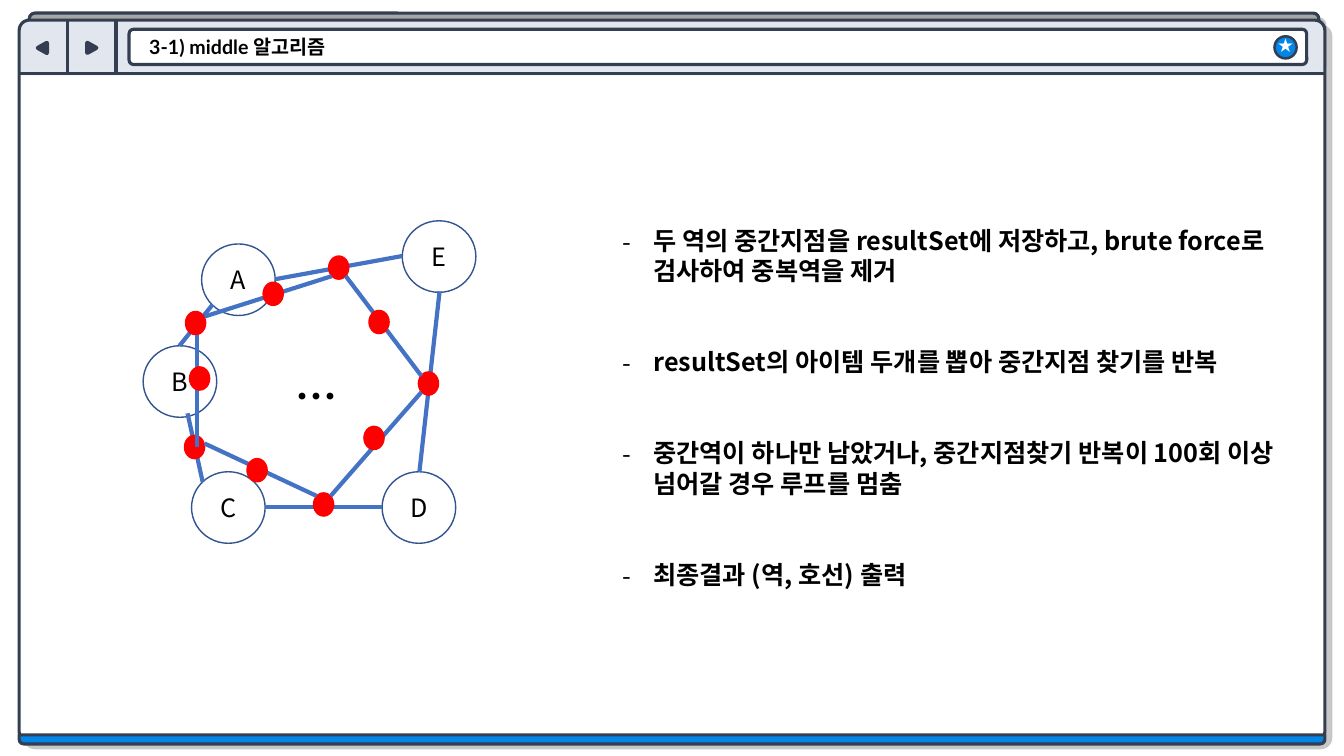
from lxml import etree
from pptx import Presentation
from pptx.dml.color import RGBColor
from pptx.enum.shapes import MSO_CONNECTOR as Link, MSO_SHAPE as Form
from pptx.enum.text import MSO_ANCHOR as Anchor, MSO_AUTO_SIZE as Fit, PP_ALIGN as Align
from pptx.oxml.ns import qn
from pptx.util import Inches, Pt

NAVY = RGBColor(0x33, 0x3F, 0x50)
GRAY = RGBColor(0xA6, 0xA6, 0xA6)
PALE = RGBColor(0xE2, 0xE6, 0xEF)
WHITE = RGBColor(0xFF, 0xFF, 0xFF)
BLACK = RGBColor(0, 0, 0)
SKY = RGBColor(0x01, 0x85, 0xE9)
EDGE = RGBColor(0x32, 0x54, 0x91)
BLUE = RGBColor(0x44, 0x72, 0xC4)
RED = RGBColor(0xFF, 0, 0)

LATO = "Lato"
NOTO = "Noto Sans CJK KR"
CELL = 0.1

TITLE = "3-1) middle 알고리즘"
STEPS = [
    "두 역의 중간지점을 resultSet에 저장하고, brute force로 검사하여 중복역을 제거",
    "resultSet의 아이템 두개를 뽑아 중간지점 찾기를 반복",
    "중간역이 하나만 남았거나, 중간지점찾기 반복이 100회 이상 넘어갈 경우 루프를 멈춤",
    "최종결과 (역, 호선) 출력",
]
NODES = {"A": (5.8, 2.3), "B": (0, 12.4), "C": (4.8, 24.9), "D": (23.7, 24.9), "E": (25.7, 0)}
OUTER = [
    (13.1, 5.8, 25.7, 3.5), (4.4, 19.1, 5.9, 25.9), (29.4, 7, 27.4, 24.9),
    (12.1, 28.4, 23.7, 28.4), (6.9, 8.3, 3.6, 12.4),
]
MIDS = [(18.4, 3.5), (4.2, 9), (16.9, 27), (27.3, 15), (4.1, 21.3)]
INNER = [
    (20.1, 5.5, 27.6, 15.4), (5.3, 22.4, 5.3, 11.3), (6.1, 22.1, 17.2, 27.3),
    (18.6, 27.3, 27.6, 17), (6.1, 9.5, 18.7, 5.5),
]
CORES = [(10.3, 23.6), (4.6, 14.5), (22.4, 8.9), (21.9, 20.4), (11.9, 6.1)]


def grid(*cells):
    """Turn grid cells into lengths."""
    return [Inches(cell * CELL) for cell in cells]


def add(slide, form, box, fill, edge=NAVY, width=2.25, adj=()):
    """Add a flat preset shape on the grid."""
    shape = slide.shapes.add_shape(form, *grid(*box))
    shape.shadow.inherit = False
    shape.fill.solid()
    shape.fill.fore_color.rgb = fill
    shape.line.color.rgb = edge
    shape.line.width = Pt(width)
    for i, value in enumerate(adj):
        shape.adjustments[i] = value
    return shape


def join(slide, ends, color=NAVY, width=2.25):
    """Draw a straight line between two grid points."""
    line = slide.shapes.add_connector(Link.STRAIGHT, *grid(*ends))
    line.line.color.rgb = color
    line.line.width = Pt(width)
    etree.SubElement(line.element.spPr, qn("a:effectLst"))


def shade(shape):
    """Give a shape a hard shadow to the lower right."""
    effects = shape.element.spPr.find(qn("a:effectLst"))
    drop = etree.SubElement(effects, qn("a:outerShdw"), dist=str(Pt(6)),
                            dir="2700000", algn="tl", rotWithShape="0")
    color = etree.SubElement(drop, qn("a:srgbClr"), val="000000")
    etree.SubElement(color, qn("a:alpha"), val="22000")


def style(para, size, color=BLACK, bold=False, face=NOTO, align=Align.LEFT):
    """Set the font and alignment of a paragraph."""
    para.alignment = align
    font = para.font
    font.size, font.bold, font.name = Pt(size), bold, face
    font.color.rgb = color
    base = para._p.pPr.find(qn("a:defRPr"))
    base.find(qn("a:latin")).addnext(etree.Element(qn("a:ea"), typeface=NOTO))


def label(shape, text, size, color=BLACK):
    """Center a short text in a shape."""
    frame = shape.text_frame
    frame.text = text
    frame.word_wrap = False
    frame.vertical_anchor = Anchor.MIDDLE
    style(frame.paragraphs[0], size, color, align=Align.CENTER)
    return frame


def place(holder, box):
    """Move a placeholder to the front and to its box."""
    holder.left, holder.top, holder.width, holder.height = grid(*box)
    holder.element.getparent().append(holder.element)
    frame = holder.text_frame
    frame.word_wrap = True
    frame.auto_size = Fit.NONE
    return frame


def window(slide, box):
    """Draw the browser window with its bar and title."""
    x, y, w, h = box
    shade(add(slide, Form.ROUNDED_RECTANGLE, (x + 1, y - 0.7, w - 1.6, 5.2), GRAY, adj=[0.105]))
    pane = add(slide, Form.ROUNDED_RECTANGLE, box, WHITE, adj=[0.014])
    pane.fill.gradient()
    pane.fill.gradient_angle = 270
    for stop, color, share in zip(pane.fill.gradient_stops, (PALE, WHITE), (0.07, 0.08)):
        stop.color.rgb = color
        stop.position = share
    shade(pane)
    for i, turn in enumerate((270, 90)):
        edge = x + 4.8 * (i + 1)
        join(slide, (edge, y, edge, y + 5.2))
        arrow = add(slide, Form.ISOSCELES_TRIANGLE,
                    (x + 1.8 + 4.9 * i, y + 2.3, 1, 0.9), NAVY, width=3)
        arrow.rotation = turn
    bar = (x + 10.9, y + 0.9, w - 12.7, 3.5)
    add(slide, Form.ROUNDED_RECTANGLE, bar, WHITE, adj=[0.126])
    add(slide, Form.ROUND_2_SAME_RECTANGLE, (x, y + h - 0.7, w, 0.9), SKY, adj=[0, 0.5])
    join(slide, (x, y + 5.3, x + w, y + 5.3))
    badge = add(slide, Form.OVAL, (x + w - 5, y + 1.6, 2.2, 2.2), SKY, width=1.75)
    frame = label(badge, "★", 11, WHITE)
    frame.margin_left = frame.margin_right = frame.margin_top = 0
    frame.margin_bottom = Inches(0.04)
    frame = place(slide.shapes.title, bar)
    frame.text = TITLE
    frame.vertical_anchor = Anchor.MIDDLE
    frame.margin_left = Inches(0.2)
    frame.margin_top = frame.margin_bottom = 0
    style(frame.paragraphs[0], 14, bold=True, face=LATO)


def steps(slide, box):
    """Fill the body with the dashed list of steps."""
    frame = place(slide.placeholders[1], box)
    frame.text = "\n".join(STEPS)
    frame.vertical_anchor = Anchor.TOP
    for i, para in enumerate(frame.paragraphs):
        para.line_spacing = Pt(21.7)
        para.space_before = Pt(43.4 if i else 0)
        style(para, 18, bold=True)
        props = para._p.pPr
        props.set("marL", str(Inches(0.31)))
        props.set("indent", str(-Inches(0.31)))
        base = props.find(qn("a:defRPr"))
        base.addprevious(etree.Element(qn("a:buFont"), typeface=NOTO))
        base.addprevious(etree.Element(qn("a:buChar"), char="-"))


def graph(slide, box):
    """Draw the stations, their links and the midpoints."""
    x, y, w, h = box
    for name, (col, row) in NODES.items():
        node = add(slide, Form.OVAL, (x + col, y + row, 7.3, 7.1), WHITE, EDGE, 1)
        label(node, name, 18)
    for links, dots in ((OUTER, MIDS), (INNER, CORES)):
        for a, b, c, d in links:
            join(slide, (x + a, y + b, x + c, y + d), BLUE, 3)
        for col, row in dots:
            add(slide, Form.OVAL, (x + col, y + row, 2, 2.3), RED, RED, 1)
    more = slide.shapes.add_textbox(*grid(x + 14.1, y + 14.4, 3.5, 6.1))
    frame = more.text_frame
    frame.word_wrap = True
    frame.text = "…"
    style(frame.paragraphs[0], 30, bold=True)


def main():
    """Build and save the slide."""
    deck = Presentation()
    deck.slide_width, deck.slide_height = Inches(13.33), Inches(7.5)
    slide = deck.slides.add_slide(deck.slide_layouts[1])
    window(slide, (1.9, 2, 129.5, 71.6))
    steps(slide, (60.7, 21.8, 67.9, 40.4))
    graph(slide, (14.2, 21.9, 33, 32))
    deck.save("out.pptx")


if __name__ == "__main__":
    main()
